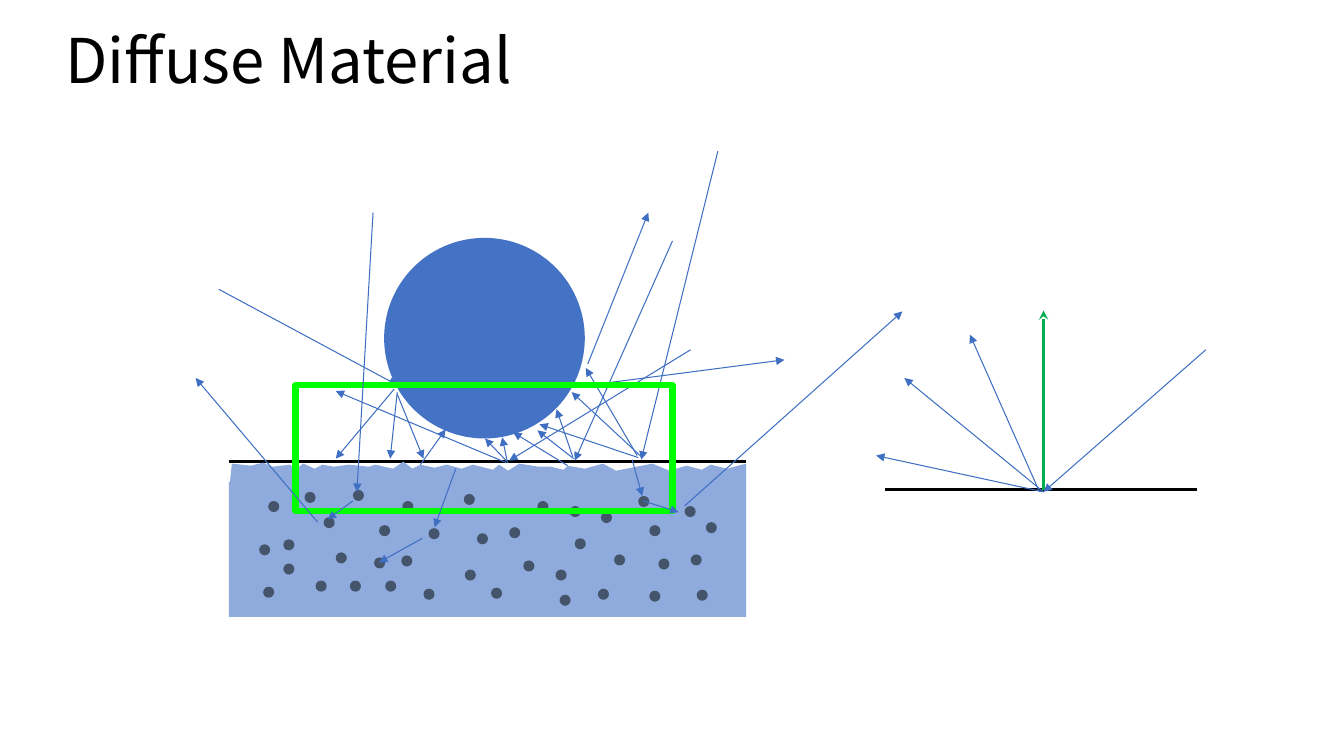
from lxml import etree
from pptx import Presentation
from pptx.dml.color import RGBColor
from pptx.enum import shapes as sh, text as tx
from pptx.oxml import ns
from pptx.util import Inches, Pt

FONT = "Noto Sans CJK KR"
HUES = {"ink": "000000", "body": "8FAADC", "grain": "44546A", "ball": "4472C4",
        "ray": "3F6FC3", "frame": "00FF00", "normal": "00B050"}
DOT = 0.11

# Rough top edge of the material, left to right
EDGE = [
    (2.28, 4.79), (2.3, 4.6), (2.49, 4.62), (2.61, 4.59), (2.7, 4.63),
    (2.88, 4.61), (2.92, 4.66), (3.01, 4.6), (3.12, 4.65), (3.2, 4.61),
    (3.31, 4.63), (3.46, 4.61), (3.66, 4.63), (3.72, 4.61), (3.9, 4.65),
    (4, 4.58), (4.04, 4.61), (4.09, 4.65), (4.17, 4.61), (4.31, 4.64),
    (4.43, 4.61), (4.58, 4.65), (4.69, 4.61), (4.89, 4.66), (4.95, 4.61),
    (5.04, 4.67), (5.15, 4.6), (5.34, 4.63), (5.46, 4.63), (5.59, 4.66),
    (5.63, 4.62), (5.8, 4.65), (5.98, 4.6), (6.11, 4.67), (6.47, 4.6),
    (6.64, 4.67), (6.81, 4.62), (6.96, 4.66), (7.05, 4.61), (7.21, 4.65),
    (7.4, 4.6), (7.4, 4.8),
]

# Left and top of each grain
GRAINS = [
    (2.81, 5.35), (3.21, 5.13), (3.47, 5.76), (3.13, 5.76), (3.33, 5.48),
    (3.76, 5.21), (3.98, 5.51), (3.82, 5.76), (3.71, 5.53), (3.99, 4.97),
    (4.25, 5.24), (4.2, 5.84), (2.61, 5.82), (2.81, 5.59), (2.57, 5.4),
    (2.66, 4.97), (3.02, 4.88), (3.5, 4.86), (4.6, 4.9), (4.73, 5.29),
    (4.61, 5.65), (4.87, 5.83), (5.19, 5.56), (5.05, 5.23), (5.33, 4.97),
    (5.65, 5.02), (5.7, 5.34), (5.51, 5.65), (5.55, 5.9), (5.93, 5.84),
    (6.09, 5.5), (5.96, 5.08), (6.33, 4.92), (6.44, 5.21), (6.53, 5.54),
    (6.44, 5.86), (6.91, 5.85), (6.85, 5.5), (7, 5.18), (6.79, 5.02),
]

# Rays as start x, start y, end x, end y
BOUNCE = [
    (2.17, 2.87, 3.94, 3.82), (3.91, 3.86, 3.33, 4.55),
    (3.94, 3.89, 3.87, 4.55), (3.94, 3.91, 4.2, 4.55),
    (6.85, 3.47, 5.05, 4.57), (5.04, 4.59, 4.81, 4.35),
    (5.03, 4.57, 4.98, 4.34), (5.02, 4.59, 3.33, 3.88),
    (6.67, 2.39, 5.7, 4.57), (5.68, 4.53, 5.52, 4.06),
    (5.69, 4.55, 5.33, 4.27), (5.63, 4.62, 5.09, 4.29),
    (7.12, 1.5, 6.36, 4.56), (6.36, 4.53, 5.67, 3.89),
    (6.33, 4.54, 5.35, 4.21), (6.32, 4.52, 5.81, 3.65),
    (5.83, 3.61, 6.43, 2.11), (5.7, 3.84, 7.78, 3.57),
    (4.17, 4.61, 4.42, 4.26),
]
SCATTER = [
    (11.96, 3.47, 10.35, 4.88), (10.31, 4.88, 9.62, 3.32),
    (10.35, 4.88, 8.97, 3.75), (10.35, 4.88, 8.69, 4.52),
]
INNER = [
    (3.15, 5.18, 1.94, 3.75), (4.52, 4.65, 4.31, 5.23),
    (4.19, 5.34, 3.76, 5.58), (3.7, 2.11, 3.54, 4.88),
    (3.5, 4.97, 3.25, 5.15), (6.79, 5.02, 8.95, 3.09),
    (6.38, 4.97, 6.73, 5.08), (6.27, 4.56, 6.37, 4.92),
]


def tint(name):
    return RGBColor.from_string(HUES[name])


def paint(shape, fill=None, line=None, width=0):
    shape.shadow.inherit = False
    if fill:
        shape.fill.solid()
        shape.fill.fore_color.rgb = tint(fill)
    else:
        shape.fill.background()
    if line:
        shape.line.color.rgb = tint(line)
        shape.line.width = Pt(width)
    else:
        shape.line.fill.background()


def add_form(slide, kind, box, **look):
    form = slide.shapes.add_shape(kind, *map(Inches, box))
    paint(form, **look)


def add_line(slide, ends, hue="ray", width=0.75, tip="triangle"):
    line = slide.shapes.add_connector(sh.MSO_CONNECTOR.STRAIGHT, *map(Inches, ends))
    line.line.color.rgb = tint(hue)
    line.line.width = Pt(width)
    if tip:
        etree.SubElement(line.line._get_or_add_ln(), ns.qn("a:tailEnd"), type=tip)
    etree.SubElement(line._element.spPr, ns.qn("a:effectLst"))


def add_rays(slide, rays):
    for ends in rays:
        add_line(slide, ends)


def add_edge(slide, points):
    dots = [(Inches(x), Inches(y)) for x, y in points]
    pen = slide.shapes.build_freeform(*dots[0])
    pen.add_line_segments(dots[1:], close=True)
    paint(pen.convert_to_shape(), fill="body")


def set_title(slide, words):
    title = slide.shapes.title
    title.left, title.top, title.width, title.height = map(Inches, (0.55, 0.25, 11, 0.75))
    frame = title.text_frame
    frame.word_wrap = True
    frame.auto_size = tx.MSO_AUTO_SIZE.NONE
    frame.vertical_anchor = tx.MSO_ANCHOR.BOTTOM
    para = frame.paragraphs[0]
    para.alignment = tx.PP_ALIGN.LEFT
    para.line_spacing = 0.8
    run = para.add_run()
    run.text = words
    run.font.name = FONT
    run.font.size = Pt(44)
    run.font.color.rgb = tint("ink")


def main():
    deck = Presentation()
    deck.slide_width, deck.slide_height = Inches(13.33), Inches(7.5)
    slide = deck.slides.add_slide(deck.slide_layouts[5])
    set_title(slide, "Diffuse Material")
    rect, oval = sh.MSO_SHAPE.RECTANGLE, sh.MSO_SHAPE.OVAL

    # Material with grains
    add_form(slide, rect, (2.27, 4.78, 5.13, 1.34), fill="body")
    add_line(slide, (2.27, 4.58, 7.4, 4.58), "ink", 2.25, None)
    add_edge(slide, EDGE)
    for left, top in GRAINS:
        add_form(slide, oval, (left, top, DOT, DOT), fill="grain")

    # Ball, light between ball and surface, focus frame
    add_form(slide, oval, (3.81, 2.36, 1.99, 1.99), fill="ball")
    add_rays(slide, BOUNCE)
    add_form(slide, rect, (2.93, 3.82, 3.74, 1.25), line="frame", width=4.5)

    # Simple model: surface, normal and scattered rays
    add_line(slide, (8.78, 4.86, 11.87, 4.86), "ink", 2.25, None)
    add_line(slide, (10.35, 4.86, 10.35, 3.08), "normal", 2.25, "stealth")
    add_rays(slide, SCATTER)

    # Light inside the material
    add_rays(slide, INNER)
    deck.save("out.pptx")


if __name__ == "__main__":
    main()
